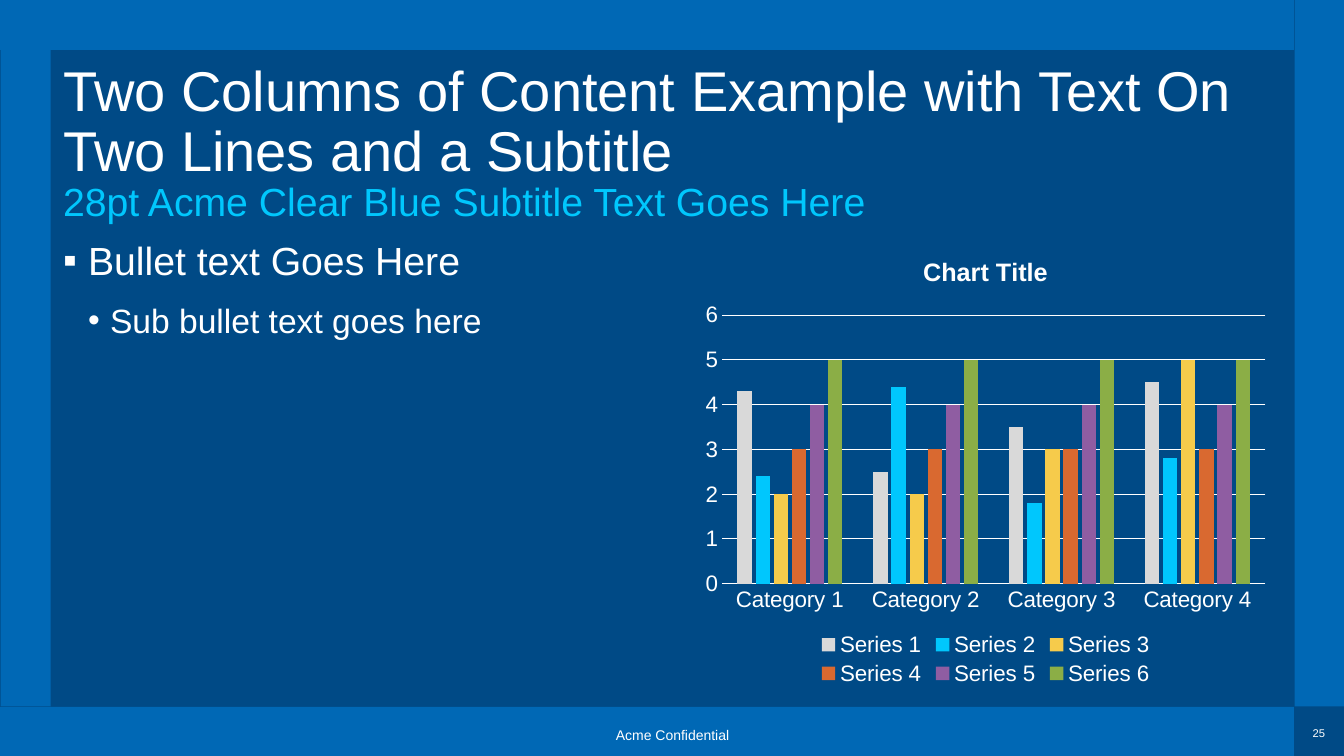
from lxml import etree
from pptx import Presentation, util as u
from pptx.chart.data import CategoryChartData
from pptx.dml.color import RGBColor
from pptx.enum import chart as kinds, shapes, text
from pptx.oxml.ns import qn

PX = 9071.43  # EMU per px
WHITE = RGBColor(0xFF, 0xFF, 0xFF)
NAVY = RGBColor(0x00, 0x4A, 0x86)
BLUE = RGBColor(0x00, 0x68, 0xB5)
CYAN = RGBColor(0x00, 0xC7, 0xFD)
GRAY = RGBColor(0xD9, 0xD9, 0xD9)
GOLD = RGBColor(0xF6, 0xCB, 0x4B)
RUST = RGBColor(0xD9, 0x69, 0x30)
PLUM = RGBColor(0x8F, 0x5D, 0xA2)
MOSS = RGBColor(0x8B, 0xAE, 0x46)


def px(*nums):
    return [u.Emu(round(n * PX)) for n in nums]


def write(box, lines, color=WHITE, align=text.PP_ALIGN.LEFT, lead=None, wrap=True):
    """Fill a new text box with (words, size) lines and return its paragraphs."""
    frame = slide.shapes.add_textbox(*px(*box)).text_frame
    frame.word_wrap = wrap
    frame.margin_left = frame.margin_right = frame.margin_top = frame.margin_bottom = 0
    frame.text = "\n".join(words for words, size in lines)
    for par, (words, size) in zip(frame.paragraphs, lines):
        par.alignment = align
        par.line_spacing = lead
        font = par.runs[0].font
        font.name, font.size, font.color.rgb = "Arial", u.Pt(size), color
    return frame.paragraphs


deck = Presentation()
deck.slide_width, deck.slide_height = px(1344, 756)
slide = deck.slides.add_slide(deck.slide_layouts[6])
slide.background.fill.solid()
slide.background.fill.fore_color.rgb = NAVY

# Frame: bottom, right, top and left bars; the side bars are turned upright
LONG, SIDE, THICK = 1294, 707, 50
mid = (SIDE - THICK) // 2
bars = [(0, SIDE, LONG, 0), (LONG - mid, mid, SIDE, 90),
        (0, 0, LONG, 0), (-mid, mid, SIDE, 90)]
for left, top, width, turn in bars:
    bar = slide.shapes.add_shape(
        shapes.MSO_SHAPE.RECTANGLE, *px(left, top, width, THICK))
    bar.rotation = turn
    bar.shadow.inherit = False
    bar.fill.solid()
    bar.fill.fore_color.rgb = BLUE
    bar.line.fill.background()

# Footer and page number
center = text.PP_ALIGN.CENTER
write((607, 728, 131, 15), [("Acme Confidential", 10)], align=center, lead=0.9, wrap=False)
write((1312, 726, 14, 13), [("25", 8)], align=center, wrap=False)

# Title and subtitle
write((63, 63, 1214, 105),
      [("Two Columns of Content Example with Text On Two Lines and a Subtitle", 40)], lead=0.9)
write((63, 177, 1214, 48), [("28pt Acme Clear Blue Subtitle Text Goes Here", 28)], CYAN)

# Bullets
pars = write((63, 236, 583, 454),
             [("Bullet text Goes Here", 28), ("Sub bullet text goes here", 24)])
marks = [("▪", 25, 25), ("•", 47, 22)]
for level, (par, (mark, left, hang)) in enumerate(zip(pars, marks)):
    par.level = level
    par.space_before = u.Pt(12)
    props = par._p.get_or_add_pPr()
    props.set("marL", str(px(left)[0]))
    props.set("indent", str(px(-hang)[0]))
    etree.SubElement(props, qn("a:buFont"), typeface="Arial")
    etree.SubElement(props, qn("a:buChar"), char=mark)

# Chart
data = CategoryChartData()
data.categories = [f"Category {n}" for n in range(1, 5)]
rows = [
    ((4.3, 2.5, 3.5, 4.5), GRAY),
    ((2.4, 4.4, 1.8, 2.8), CYAN),
    ((2, 2, 3, 5), GOLD),
    ((3, 3, 3, 3), RUST),
    ((4, 4, 4, 4), PLUM),
    ((5, 5, 5, 5), MOSS),
]
for n, (vals, color) in enumerate(rows, 1):
    data.add_series(f"Series {n}", vals)
chart = slide.shapes.add_chart(
    kinds.XL_CHART_TYPE.COLUMN_CLUSTERED, *px(694, 236, 583, 454), data).chart
chart.font.name, chart.font.size, chart.font.color.rgb = "Arial", u.Pt(16), WHITE

chart.has_title = True
chart.chart_title.text_frame.text = "Chart Title"
font = chart.chart_title.text_frame.paragraphs[0].runs[0].font
font.name, font.size, font.bold, font.color.rgb = "Arial", u.Pt(18), True, WHITE

chart.has_legend = True
chart.legend.position = kinds.XL_LEGEND_POSITION.BOTTOM
chart.legend.include_in_layout = False

plot = chart.plots[0]
plot.gap_width, plot.overlap, plot.vary_by_categories = 219, -27, False
for series, (vals, color) in zip(plot.series, rows):
    series.format.fill.solid()
    series.format.fill.fore_color.rgb = color

# Axes
for axis in (chart.category_axis, chart.value_axis):
    axis.major_tick_mark = axis.minor_tick_mark = kinds.XL_TICK_MARK.NONE
chart.value_axis.format.line.fill.background()
for line in (chart.category_axis.format.line, chart.value_axis.major_gridlines.format.line):
    line.color.rgb, line.width = WHITE, u.Pt(0.75)

deck.save("out.pptx")
